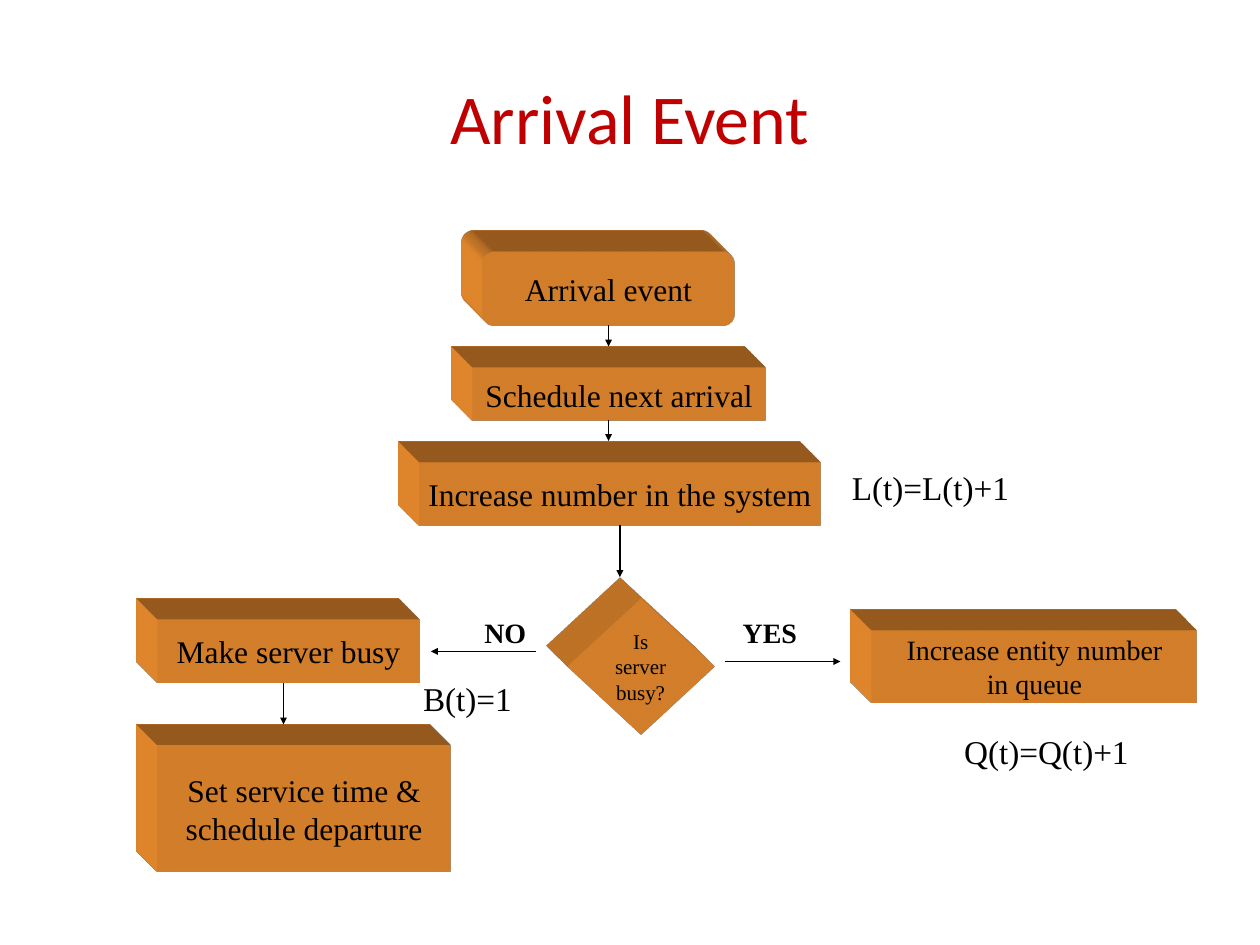
"""Build the arrival event flowchart slide."""
import lxml.etree
import pptx
import pptx.dml.color
import pptx.enum.shapes
import pptx.enum.text
import pptx.oxml.ns
import pptx.util

Inches = pptx.util.Inches
Shape = pptx.enum.shapes.MSO_SHAPE
BLACK = pptx.dml.color.RGBColor(0x00, 0x00, 0x00)
RED = pptx.dml.color.RGBColor(0xC0, 0x00, 0x00)
ORANGE = pptx.dml.color.RGBColor(0xFF, 0x99, 0x33)
EXTRUSION_DEPTH = 430200


def add_element(parent, tag, **attributes):
    """Append a drawing element to the parent and return it."""
    name = pptx.oxml.ns.qn(f"a:{tag}")
    return lxml.etree.SubElement(parent, name, attributes)


def write_text(shape, text, size=18, font="Times New Roman", color=BLACK,
               bold=False, wrap=False):
    """Write centred lines of text into a shape."""
    frame = shape.text_frame
    frame.word_wrap = wrap
    frame.vertical_anchor = pptx.enum.text.MSO_ANCHOR.MIDDLE
    frame.text = text
    for para in frame.paragraphs:
        para.alignment = pptx.enum.text.PP_ALIGN.CENTER
        for span in para.runs:
            span.font.size = pptx.util.Pt(size)
            span.font.name = font
            span.font.bold = bold
            span.font.color.rgb = color


def extrude(shape):
    """Give a shape depth towards the top left."""
    properties = shape._element.spPr
    scene = add_element(properties, "scene3d")
    add_element(scene, "camera", prst="legacyObliqueTopLeft")
    add_element(scene, "lightRig", rig="legacyFlat3", dir="b")
    solid = add_element(properties, "sp3d", extrusionH=str(EXTRUSION_DEPTH),
                        prstMaterial="legacyMatte")
    for bevel in ("bevelT", "bevelB"):
        add_element(solid, bevel, w="13500", h="13500", prst="angle")
    color = add_element(solid, "extrusionClr")
    add_element(color, "srgbClr", val=str(ORANGE))


def add_block(page, text, left, top, width, height,
              kind=Shape.RECTANGLE, size=18):
    """Add an extruded flowchart block."""
    block = page.shapes.add_shape(kind, Inches(left), Inches(top),
                                  Inches(width), Inches(height))
    block.shadow.inherit = False
    block.fill.solid()
    block.fill.fore_color.rgb = ORANGE
    block.line.fill.background()
    extrude(block)
    write_text(block, text, size=size)
    return block


def add_label(page, text, left, top, width, height, **text_format):
    """Add a text box."""
    box = page.shapes.add_textbox(Inches(left), Inches(top),
                                  Inches(width), Inches(height))
    write_text(box, text, **text_format)


def add_arrow(page, start, end, source=None):
    """Add an arrow, joined to the bottom of its source block if given."""
    arrow = page.shapes.add_connector(
        pptx.enum.shapes.MSO_CONNECTOR.STRAIGHT,
        *(Inches(value) for value in start + end))
    if source is not None:
        arrow.begin_connect(source, 2)
    arrow.line.color.rgb = BLACK
    arrow.line.width = pptx.util.Pt(1)
    add_element(arrow.line._get_or_add_ln(), "tailEnd",
                type="triangle", w="sm", len="sm")
    add_element(arrow._element.spPr, "effectLst")


def main():
    """Build and save the slide."""
    deck = pptx.Presentation()
    deck.slide_width, deck.slide_height = Inches(10), Inches(7.5)
    page = deck.slides.add_slide(deck.slide_layouts[6])

    add_label(page, "Arrival Event", 0.5, 0.3, 9, 1.25,
              size=40, font="Calibri", color=RED, wrap=True)

    arrival = add_block(page, "Arrival event", 3.83, 2, 2, 0.58,
                        kind=Shape.ROUNDED_RECTANGLE)
    add_block(page, "Schedule next arrival", 3.75, 2.92, 2.33, 0.42)
    increase = add_block(page, "Increase number in the system",
                         3.33, 3.67, 3.18, 0.5)
    add_block(page, "Set service time &\nschedule departure",
              1.25, 5.92, 2.33, 1)
    add_block(page, "Increase entity number\nin queue",
              6.92, 5, 2.58, 0.58, size=16)
    add_block(page, "Make server busy", 1.25, 4.92, 2.08, 0.5)
    add_block(page, "Is\nserver\nbusy?", 4.5, 4.75, 1.17, 1.08,
              kind=Shape.FLOWCHART_DECISION, size=12)

    add_arrow(page, (4.25, 5.17), (3.42, 5.17))
    add_arrow(page, (5.75, 5.25), (6.67, 5.25))
    add_arrow(page, (4.83, 2.58), (4.83, 2.75), source=arrival)
    add_arrow(page, (4.83, 3.33), (4.83, 3.5))
    add_arrow(page, (4.92, 4.17), (4.92, 4.58), source=increase)
    add_arrow(page, (2.25, 5.42), (2.25, 5.75))

    add_label(page, "NO", 3.74, 4.83, 0.54, 0.37, size=16, bold=True)
    add_label(page, "YES", 5.79, 4.83, 0.64, 0.37, size=16, bold=True)
    add_label(page, "L(t)=L(t)+1", 6.65, 3.66, 1.47, 0.42, size=19)
    add_label(page, "Q(t)=Q(t)+1", 7.54, 5.75, 1.53, 0.42, size=19)
    add_label(page, "B(t)=1", 3.25, 5.33, 0.92, 0.42, size=19)

    deck.save("out.pptx")


if __name__ == "__main__":
    main()
